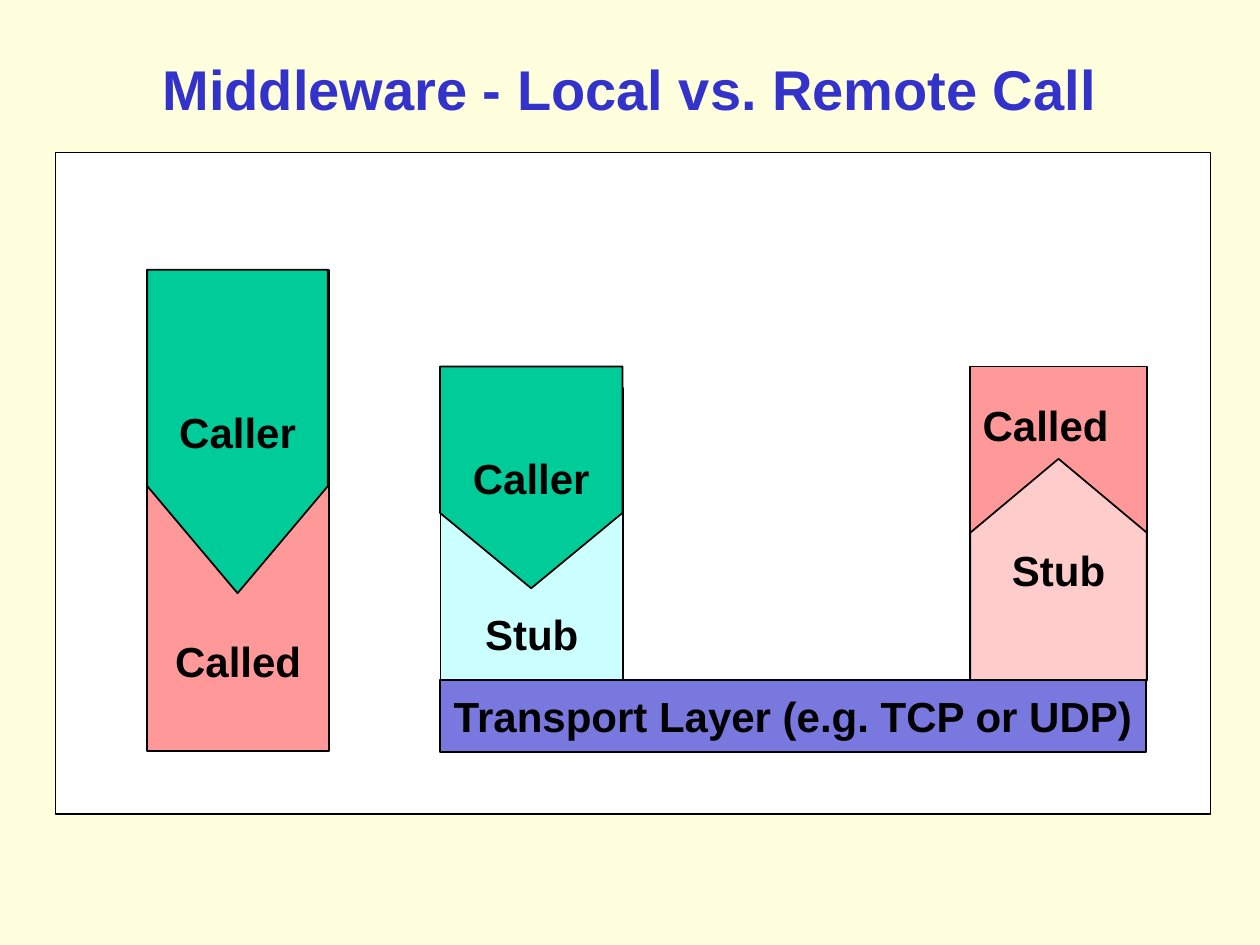
from pptx import Presentation
from pptx.dml.color import RGBColor
from pptx.enum.shapes import MSO_SHAPE
from pptx.enum.text import MSO_ANCHOR, PP_ALIGN
from pptx.util import Cm, Pt

RECT = MSO_SHAPE.RECTANGLE
TOP, MIDDLE, BOTTOM = MSO_ANCHOR.TOP, MSO_ANCHOR.MIDDLE, MSO_ANCHOR.BOTTOM
LEFT, CENTER = PP_ALIGN.LEFT, PP_ALIGN.CENTER

CREAM = RGBColor(0xFF, 0xFF, 0xDD)
WHITE = RGBColor(0xFF, 0xFF, 0xFF)
BLACK = RGBColor(0x00, 0x00, 0x00)
BLUE = RGBColor(0x33, 0x33, 0xCC)
GREEN = RGBColor(0x00, 0xCC, 0x99)
RED = RGBColor(0xFF, 0x99, 0x99)
PINK = RGBColor(0xFF, 0xCC, 0xCC)
CYAN = RGBColor(0xCC, 0xFF, 0xFF)
VIOLET = RGBColor(0x78, 0x78, 0xDE)

FONT = "Arial"


def write(sp, text, size, color, anchor=MIDDLE, align=CENTER, inset=0.13):
    """Write one bold line; inset is the gap at top and bottom in cm."""
    tf = sp.text_frame
    tf.word_wrap = align == LEFT
    tf.vertical_anchor = anchor
    tf.margin_left = tf.margin_right = Cm(0.25)
    tf.margin_top = tf.margin_bottom = Cm(inset)
    p = tf.paragraphs[0]
    p.text = text
    p.alignment = align
    p.font.name = FONT
    p.font.size = Pt(size)
    p.font.bold = True
    p.font.color.rgb = color


def paint(sp, fill, line_width=1):
    sp.shadow.inherit = False
    sp.fill.solid()
    sp.fill.fore_color.rgb = fill
    sp.line.color.rgb = BLACK
    sp.line.width = Pt(line_width)


def add_title(s, text):
    sp = s.shapes.title
    sp.left, sp.top, sp.width, sp.height = Cm(0), Cm(0.89), Cm(25.4), Cm(1.7)
    write(sp, text, 32, BLUE, BOTTOM)


def add_box(s, x, y, w, h, fill, text, **layout):
    sp = s.shapes.add_shape(RECT, Cm(x), Cm(y), Cm(w), Cm(h))
    paint(sp, fill)
    write(sp, text, 24, BLACK, **layout)


def add_pentagon(s, x, w, base, shoulder, tip, fill, text):
    """Draw a block that points from its flat base to its tip."""
    points = [(x, shoulder), (x + w / 2, tip), (x + w, shoulder), (x + w, base)]
    builder = s.shapes.build_freeform(Cm(x), Cm(base))
    builder.add_line_segments([(Cm(px), Cm(py)) for px, py in points], close=True)
    sp = builder.convert_to_shape()
    paint(sp, fill)
    write(sp, text, 24, BLACK)


def main():
    prs = Presentation()
    prs.slide_width, prs.slide_height = Cm(25.4), Cm(19.05)
    s = prs.slides.add_slide(prs.slide_layouts[5])
    s.background.fill.solid()
    s.background.fill.fore_color.rgb = CREAM
    add_title(s, "Middleware - Local vs. Remote Call")

    # White panel
    panel = s.shapes.add_shape(RECT, Cm(1.12), Cm(3.07), Cm(23.29), Cm(13.34))
    paint(panel, WHITE, 0.75)

    # Local call
    add_box(s, 2.97, 5.44, 3.66, 9.7, RED, "Called", anchor=BOTTOM, inset=1.32)
    add_pentagon(s, 2.97, 3.64, 5.44, 9.8, 11.96, GREEN, "Caller")

    # Remote call: server side
    add_box(s, 19.56, 7.39, 3.56, 6.32, RED, "Called",
            anchor=TOP, align=LEFT, inset=0.66)
    add_pentagon(s, 19.56, 3.56, 13.72, 10.74, 9.25, PINK, "Stub")

    # Remote call: client side
    add_box(s, 8.88, 7.82, 3.68, 5.89, CYAN, "Stub", anchor=BOTTOM, inset=0.43)
    add_pentagon(s, 8.87, 3.68, 7.39, 10.34, 11.86, GREEN, "Caller")

    # Transport between the two sides
    add_box(s, 8.87, 13.71, 14.23, 1.45, VIOLET, "Transport Layer (e.g. TCP or UDP)")

    prs.save("out.pptx")


if __name__ == "__main__":
    main()
